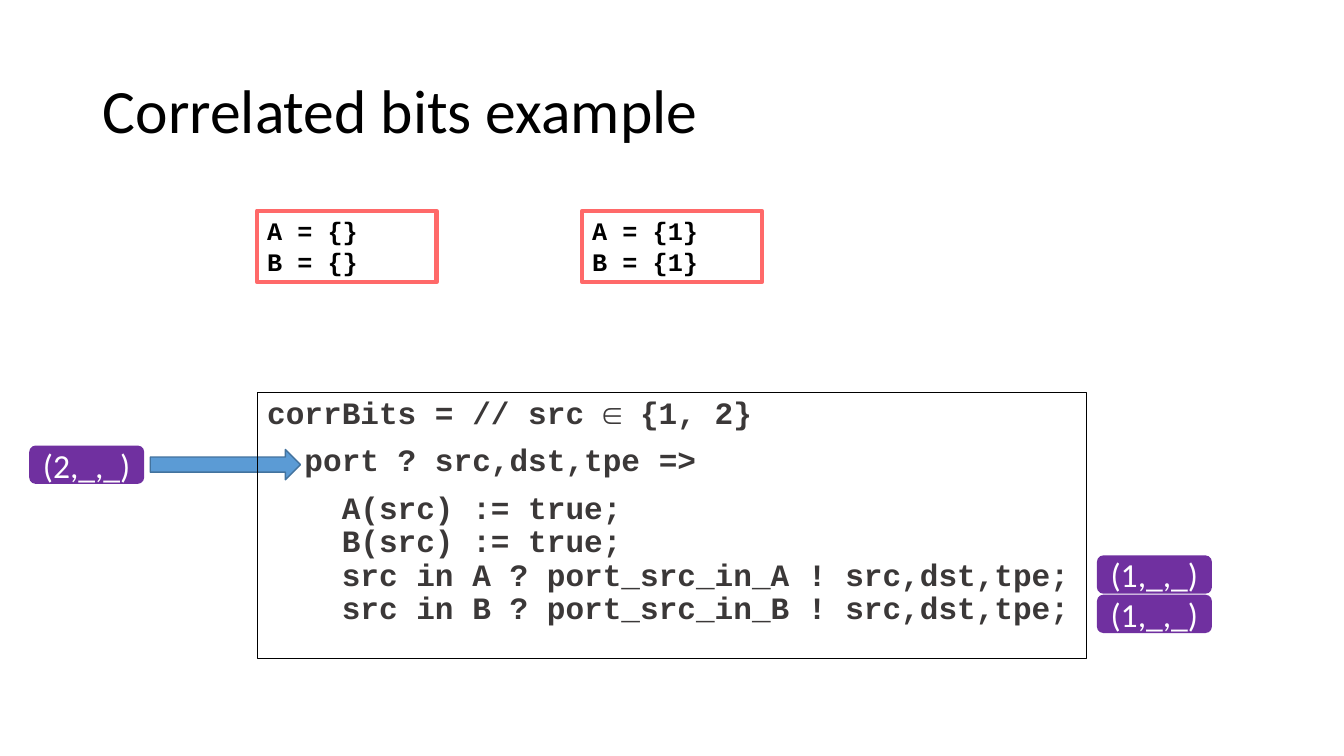
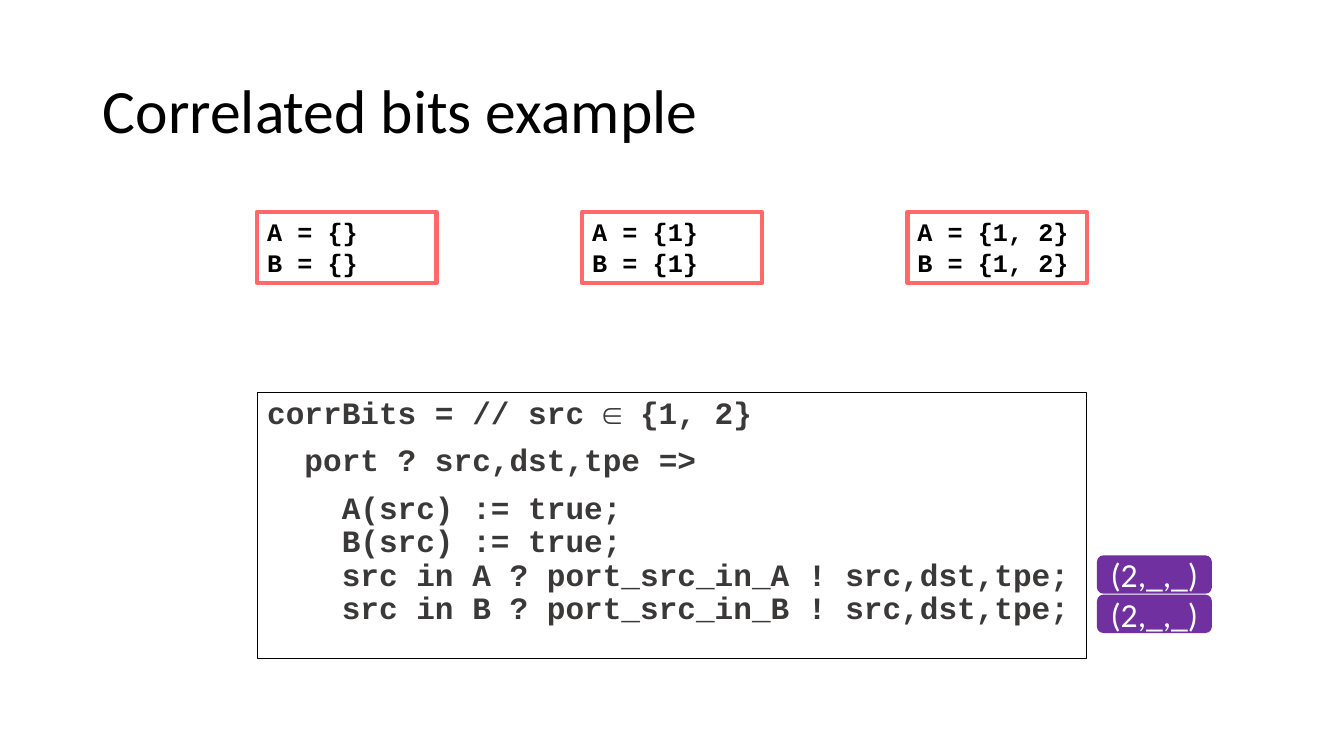
from copy import deepcopy
from dataclasses import dataclass

from lxml import etree
from pptx import Presentation
from pptx.dml.color import RGBColor
from pptx.enum.shapes import MSO_SHAPE
from pptx.enum.text import MSO_ANCHOR, MSO_AUTO_SIZE, PP_ALIGN
from pptx.oxml.ns import qn
from pptx.util import Inches, Pt

RECTANGLE = MSO_SHAPE.RECTANGLE
ROUNDED = MSO_SHAPE.ROUNDED_RECTANGLE
RIGHT_ARROW = MSO_SHAPE.RIGHT_ARROW
TOP, MIDDLE = MSO_ANCHOR.TOP, MSO_ANCHOR.MIDDLE
LEFT, CENTER = PP_ALIGN.LEFT, PP_ALIGN.CENTER
FIXED, GROW = MSO_AUTO_SIZE.NONE, MSO_AUTO_SIZE.SHAPE_TO_FIT_TEXT
TITLE_AND_CONTENT = 1


@dataclass(frozen=True)
class Theme:
    sans: str = "Calibri"
    mono: str = "Courier New"
    black: str = "000000"
    white: str = "FFFFFF"
    code: str = "3B3838"
    packet: str = "7030A0"
    state: str = "FF6969"
    arrow: str = "5B9BD5"
    arrow_edge: str = "43739E"
    title_size: float = 44
    packet_size: float = 24
    code_size: float = 22.2
    state_size: float = 18


@dataclass(frozen=True)
class Area:
    """A rectangle in inches."""
    left: float
    top: float
    width: float
    height: float


@dataclass(frozen=True)
class Step:
    """One moment of the program: its states and its packets."""
    states: tuple[str, ...]
    state_top: float
    output: str
    incoming: str = ""


THEME = Theme()

# Shared layout: the states span the code box, the packets sit beside it
SLIDE_WIDTH, SLIDE_HEIGHT = 13.33, 7.5
TITLE_AREA = Area(0.92, 0.4, 11.5, 1.45)
CODE_AREA = Area(2.55, 3.89, 8.23, 2.64)
ARROW_AREA = Area(1.49, 4.46, 1.49, 0.3)
STATE_COLUMNS, STATE_WIDTH, STATE_HEIGHT = 3, 1.78, 0.71
STATE_PITCH = (CODE_AREA.width - STATE_WIDTH) / (STATE_COLUMNS - 1)
PACKET_WIDTH, PACKET_HEIGHT, PACKET_PITCH = 1.14, 0.38, 0.39
INCOMING_LEFT, INCOMING_TOP = 0.29, 4.42
OUTPUT_LEFT = CODE_AREA.left + CODE_AREA.width + 0.1
OUTPUT_TOP, OUTPUT_COUNT = 5.51, 2

TITLE = "Correlated bits example"
CODE = (
    "corrBits = // src ∈ {1, 2}",
    "  port ? src,dst,tpe =>",
    "    A(src) := true;\n"
    "    B(src) := true;\n"
    "    src in A ? port_src_in_A ! src,dst,tpe;\n"
    "    src in B ? port_src_in_B ! src,dst,tpe;",
)
EMPTY, ONE, BOTH = "A = {}\nB = {}", "A = {1}\nB = {1}", "A = {1, 2}\nB = {1, 2}"
STEPS = (
    Step((EMPTY, ONE), 2.09, output="(1,_,_)", incoming="(2,_,_)"),
    Step((EMPTY, ONE, BOTH), 2.1, output="(2,_,_)"),
)


def place(shape, area: Area) -> None:
    shape.left, shape.top = Inches(area.left), Inches(area.top)
    shape.width, shape.height = Inches(area.width), Inches(area.height)


def write(shape, *texts: str, font: str, size: float, color: str,
          bold: bool = False, align=LEFT, anchor=TOP, fit=FIXED,
          line_spacing: float = 1.0, gap: float = 0) -> None:
    """Fill a shape with one paragraph per text; newlines become line breaks."""
    frame = shape.text_frame
    frame.word_wrap = True
    frame.auto_size = fit
    frame.vertical_anchor = anchor
    for index, text in enumerate(texts):
        para = frame.add_paragraph() if index else frame.paragraphs[0]
        para.text = text
        para.alignment = align
        para.line_spacing = line_spacing
        para.space_before = Pt(gap if index else 0)
        for span in para.runs:
            span.font.name = font
            span.font.size = Pt(size)
            span.font.bold = bold
            span.font.color.rgb = RGBColor.from_string(color)
        # Line breaks carry the same size as the text around them
        for line_break in para.runs[0]._r.getparent().findall(qn("a:br")):
            line_break.append(deepcopy(para.runs[0]._r.find(qn("a:rPr"))))


def remove_bullets(shape) -> None:
    for para in shape.text_frame.paragraphs:
        properties = para._p.get_or_add_pPr()
        properties.set("marL", "0")
        properties.set("indent", "0")
        etree.SubElement(properties, qn("a:buNone"))


def set_line(shape, color: str, weight: float) -> None:
    shape.line.color.rgb = RGBColor.from_string(color)
    shape.line.width = Pt(weight)


def add_block(page, kind, area: Area, fill: str = "", line: str = "",
              weight: float = 1):
    block = page.shapes.add_shape(kind, 0, 0, 0, 0)
    place(block, area)
    block.shadow.inherit = False
    if fill:
        block.fill.solid()
        block.fill.fore_color.rgb = RGBColor.from_string(fill)
    else:
        block.fill.background()
    if line:
        set_line(block, line, weight)
    else:
        block.line.fill.background()
    return block


def add_packet(page, text: str, left: float, top: float) -> None:
    area = Area(left, top, PACKET_WIDTH, PACKET_HEIGHT)
    packet = add_block(page, ROUNDED, area, fill=THEME.packet)
    write(packet, text, font=THEME.sans, size=THEME.packet_size,
          color=THEME.white, align=CENTER, anchor=MIDDLE)


def add_state(page, text: str, column: int, top: float) -> None:
    left = CODE_AREA.left + column * STATE_PITCH
    area = Area(left, top, STATE_WIDTH, STATE_HEIGHT)
    state = add_block(page, RECTANGLE, area, line=THEME.state, weight=3)
    write(state, text, font=THEME.mono, size=THEME.state_size,
          color=THEME.black, bold=True, fit=GROW)


def add_page(deck, step: Step) -> None:
    page = deck.slides.add_slide(deck.slide_layouts[TITLE_AND_CONTENT])

    # Title and code
    title, code = page.shapes.title, page.placeholders[1]
    place(title, TITLE_AREA)
    write(title, TITLE, font=THEME.sans, size=THEME.title_size,
          color=THEME.black, anchor=MIDDLE, line_spacing=0.9)
    place(code, CODE_AREA)
    set_line(code, THEME.black, 0.75)
    write(code, *CODE, font=THEME.mono, size=THEME.code_size,
          color=THEME.code, bold=True, line_spacing=0.9, gap=10)
    remove_bullets(code)

    # Incoming packet, its arrow behind the code outline
    if step.incoming:
        arrow = add_block(page, RIGHT_ARROW, ARROW_AREA, fill=THEME.arrow,
                          line=THEME.arrow_edge)
        code.element.addprevious(arrow.element)
        add_packet(page, step.incoming, INCOMING_LEFT, INCOMING_TOP)

    # Outgoing packets
    for row in range(OUTPUT_COUNT):
        add_packet(page, step.output, OUTPUT_LEFT, OUTPUT_TOP + row * PACKET_PITCH)

    # States reached so far
    for column, text in enumerate(step.states):
        add_state(page, text, column, step.state_top)


def main() -> None:
    deck = Presentation()
    deck.slide_width, deck.slide_height = Inches(SLIDE_WIDTH), Inches(SLIDE_HEIGHT)
    for step in STEPS:
        add_page(deck, step)
    deck.save("out.pptx")


if __name__ == "__main__":
    main()
